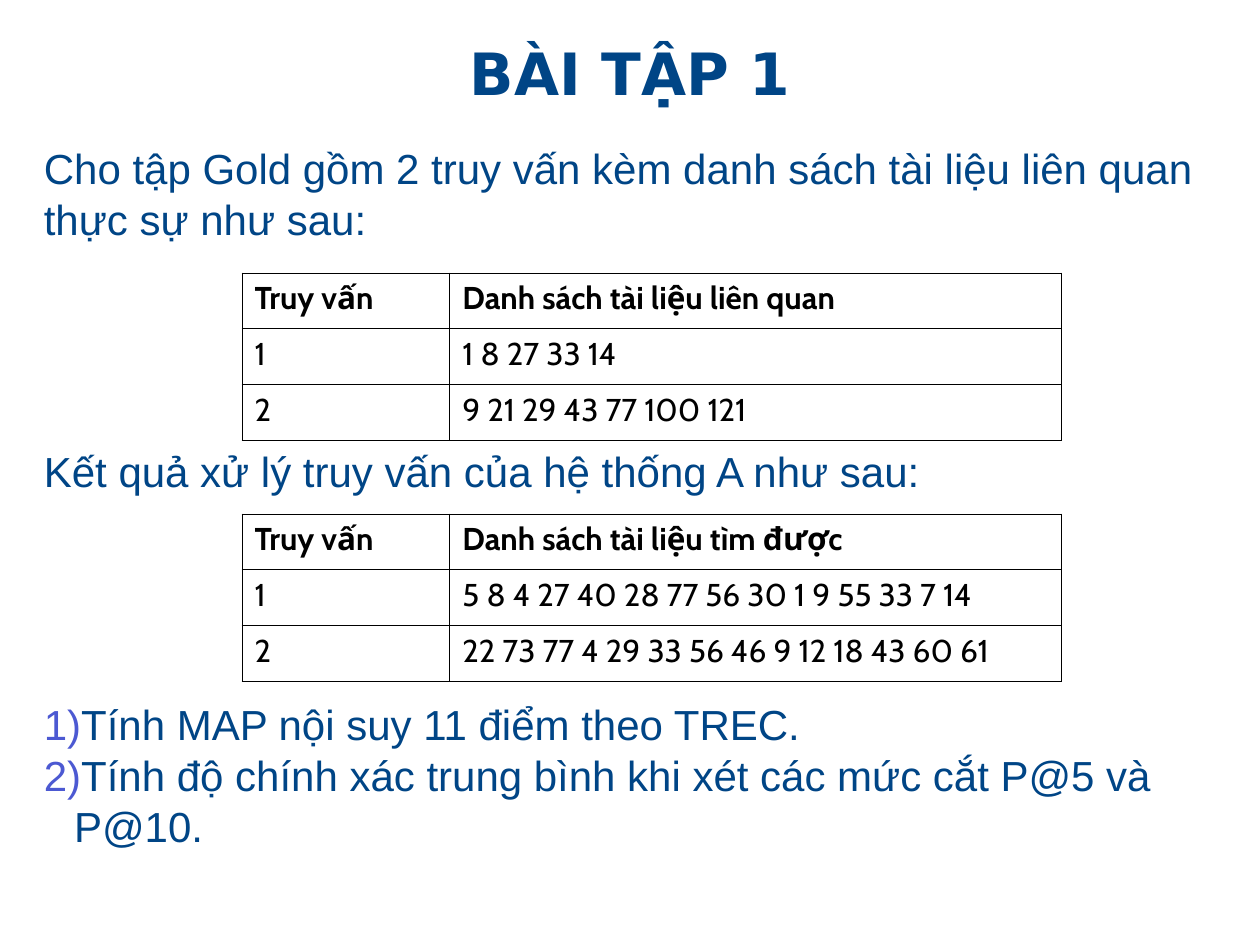
import pptx
import pptx.dml.color
import pptx.enum.text
import pptx.oxml.xmlchemy
import pptx.util
from lxml import etree
from pptx.oxml.ns import qn

Pt = pptx.util.Pt
Inches = pptx.util.Inches
MSO_ANCHOR = pptx.enum.text.MSO_ANCHOR
WIDTH, HEIGHT = Inches(10), Inches(7.5)
LINE = 28.9
NAVY, VIOLET, BLACK = "004586", "4C59D2", "000000"
TITLE_FONT = {"name": "DejaVu Sans", "size": Pt(33.3), "bold": True}
BODY_FONT = {"name": "Arial", "size": Pt(24), "bold": False}
CELL_FONT = {"name": "Cabin", "size": Pt(18)}

RELEVANT = [
    ("Truy vấn", "Danh sách tài liệu liên quan"),
    ("1", "1 8 27 33 14"),
    ("2", "9 21 29 43 77 100 121"),
]
FOUND = [
    ("Truy vấn", "Danh sách tài liệu tìm được"),
    ("1", "5 8 4 27 40 28 77 56 30 1 9 55 33 7 14"),
    ("2", "22 73 77 4 29 33 56 46 9 12 18 43 60 61"),
]
BODY = [
    ("Cho tập Gold gồm 2 truy vấn kèm danh sách tài liệu liên quan thực sự như sau:", 0, False),
    ("Kết quả xử lý truy vấn của hệ thống A như sau:", 4, False),
    ("Tính MAP nội suy 11 điểm theo TREC.", 4, True),
    ("Tính độ chính xác trung bình khi xét các mức cắt P@5 và P@10.", 0, True),
]


def rgb(value):
    """Return the colour for a hex string."""
    return pptx.dml.color.RGBColor.from_string(value)


def share(left, top, width, height):
    """Turn shares of the slide into a box of lengths."""
    return int(left * WIDTH), int(top * HEIGHT), int(width * WIDTH), int(height * HEIGHT)


def apply(target, values):
    """Set each attribute of the target from a dict."""
    for name, value in values.items():
        setattr(target, name, value)


def write(p, text, font, color):
    """Add one formatted run to a paragraph."""
    r = p.add_run()
    r.text = text
    apply(r.font, font)
    r.font.color.rgb = rgb(color)


def number(p):
    """Give a paragraph a coloured automatic number and a hanging indent."""
    pPr = p._p.get_or_add_pPr()
    indent = Inches(0.24)
    pPr.set("marL", str(indent))
    pPr.set("indent", str(-indent))
    color = etree.SubElement(pPr, qn("a:buClr"))
    etree.SubElement(color, qn("a:srgbClr"), val=VIOLET)
    etree.SubElement(pPr, qn("a:buAutoNum"), type="arabicParenR")


def border(cell):
    """Draw a thin line on all four sides of a cell."""
    tcPr = cell._tc.get_or_add_tcPr()
    for i, side in enumerate(("lnL", "lnR", "lnT", "lnB")):
        ln = etree.Element(qn(f"a:{side}"), w=str(Pt(0.45)))
        fill = etree.SubElement(ln, qn("a:solidFill"))
        etree.SubElement(fill, qn("a:srgbClr"), val=BLACK)
        tcPr.insert(i, ln)


def add_title(s, box, text):
    """Place and format the title placeholder."""
    sp = s.shapes.title
    apply(sp, dict(zip(("left", "top", "width", "height"), box)))
    tf = sp.text_frame
    apply(tf, {"margin_left": 0, "margin_right": 0, "margin_top": 0, "margin_bottom": 0,
               "word_wrap": True, "vertical_anchor": MSO_ANCHOR.MIDDLE,
               "auto_size": pptx.enum.text.MSO_AUTO_SIZE.NONE})
    p = tf.paragraphs[0]
    apply(p, {"alignment": pptx.enum.text.PP_ALIGN.CENTER, "line_spacing": 0.9})
    write(p, text, TITLE_FONT, NAVY)


def add_body(s, box, items):
    """Add the exercise text, leaving whole lines free for the tables."""
    tf = s.shapes.add_textbox(*box).text_frame
    tf.word_wrap = True
    for i, (text, gap, numbered) in enumerate(items):
        p = tf.add_paragraph() if i else tf.paragraphs[0]
        apply(p, {"line_spacing": Pt(LINE), "space_before": Pt(gap * LINE)})
        if numbered:
            number(p)
        write(p, text, BODY_FONT, NAVY)


def add_query_table(s, box, rows):
    """Add a ruled table of queries and their documents."""
    table = s.shapes.add_table(len(rows), len(rows[0]), *box).table
    apply(table, {"first_row": False, "horz_banding": False})
    for column, part in zip(table.columns, (1.65, 4.85)):
        column.width = int(box[2] * part / 6.5)
    for i, row in enumerate(rows):
        for j, text in enumerate(row):
            cell = table.cell(i, j)
            cell.fill.background()
            border(cell)
            write(cell.text_frame.paragraphs[0], text, {**CELL_FONT, "bold": i == 0}, BLACK)


def main():
    """Build the exercise slide."""
    prs = pptx.Presentation()
    apply(prs, {"slide_width": WIDTH, "slide_height": HEIGHT})
    s = prs.slides.add_slide(prs.slide_layouts[5])
    add_title(s, share(0, 0.043, 1, 0.077), "BÀI TẬP 1")
    add_body(s, share(0.025, 0.144, 0.95, 0.777), BODY)
    for top, rows in ((0.289, RELEVANT), (0.544, FOUND)):
        add_query_table(s, share(0.192, top, 0.65, 0.177), rows)
    prs.save("out.pptx")


if __name__ == "__main__":
    main()
